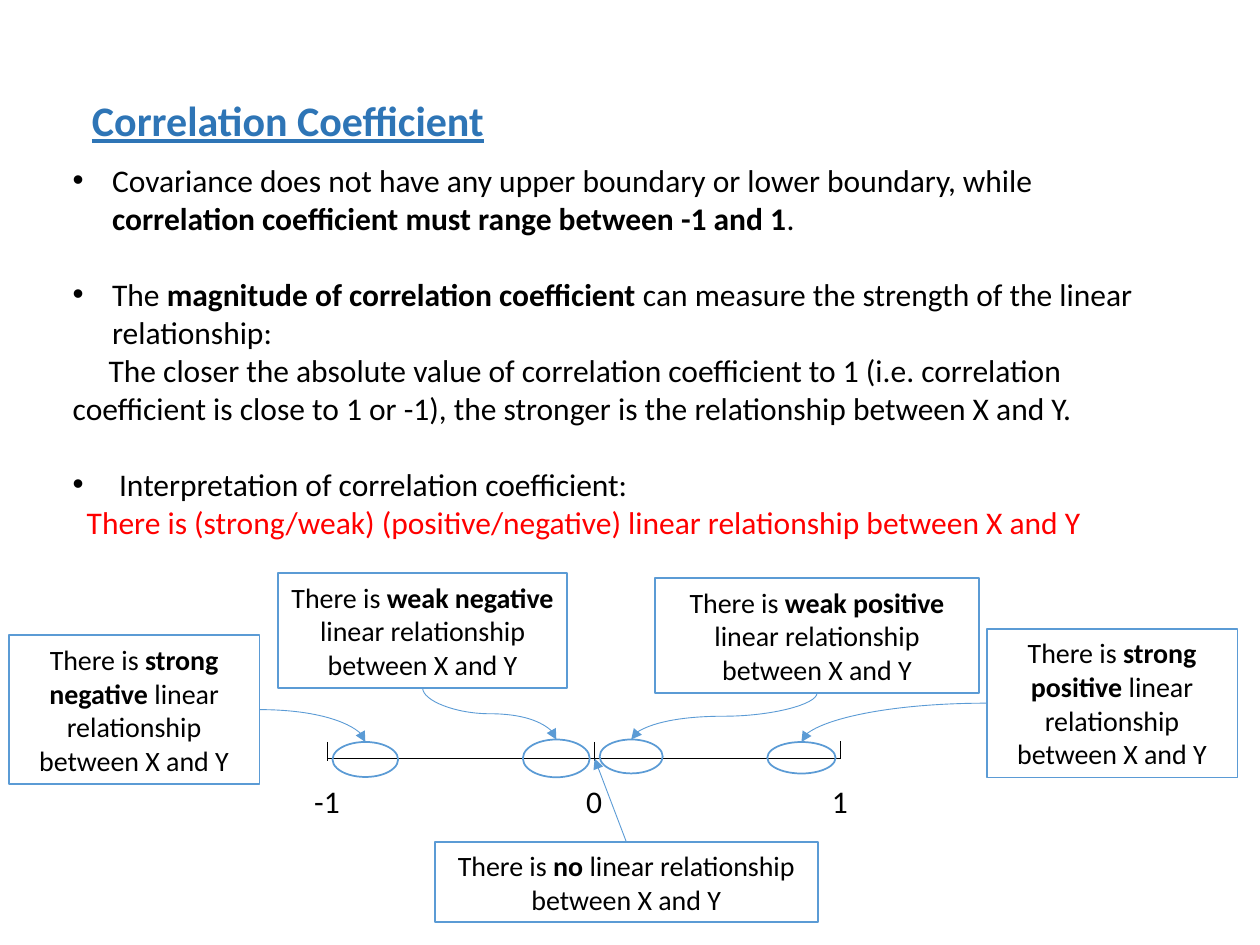
"""Build the slide on reading a correlation coefficient."""
from pptx import Presentation
from pptx.dml.color import RGBColor
from pptx.enum import shapes as kinds, text as txt
from pptx.oxml.ns import qn
from pptx.util import Pt

FONT, BLACK, BLUE, RED, WHITE = "Calibri", "000000", "5B9BD5", "FF0000", "FFFFFF"
TITLE, TITLE_COLOR = "Correlation Coefficient", "2E75B6"

# Each point: bullet, left margin, first-line indent, space before, colour, (words, bold) runs
POINTS = [
    ("•", 22.5, -22.5, 0, BLACK, [
        ("Covariance does not have any upper boundary or lower boundary, while ", False),
        ("correlation coefficient must range between -1 and 1", True), (".", False)]),
    ("•", 22.5, -22.5, 22, BLACK, [
        ("The ", False), ("magnitude of correlation coefficient", True),
        (" can measure the strength of the linear relationship:", False)]),
    (None, 0, 20.5, 0, BLACK, [
        ("The closer the absolute value of correlation coefficient to 1 (i.e. correlation "
         "coefficient is close to 1 or -1), the stronger is the relationship between X and Y.",
         False)]),
    ("•", 26.5, -26.5, 22, BLACK, [("Interpretation of correlation coefficient:", False)]),
    (None, 0, 8, 0, RED, [
        ("There is (strong/weak) (positive/negative) linear relationship between X and Y",
         False)]),
]

AXIS_Y = 433.5
TICKS = [("-1", 187.2, 424, 435, 29.5), ("0", 339.8, 424, 435, 23.8),
         ("1", 480.2, 423.5, 433.5, 23.8)]

# Each callout: strength, box, ellipse on the axis, side the arrow leaves from
CALLOUTS = [
    ("strong negative", (5, 363, 143.3, 85), (190, 424, 37.5, 20), "right"),
    ("strong positive", (563.8, 359.3, 143.3, 85), (438.5, 424, 39, 18), "left"),
    ("no", (248.4, 481, 219, 46), None, "top"),
    ("weak negative", (159, 327.6, 165, 65.5), (298.8, 422.6, 38.2, 21.6), "bottom"),
    ("weak positive", (374.4, 330.5, 185, 65.5), (342.7, 422.6, 36, 19.4), "bottom"),
]


def color(value):
    return RGBColor.from_string(value)


def pts(values):
    return [Pt(round(value, 2)) for value in values]


def add_runs(paragraph, runs, size, ink=BLACK):
    for words, bold in runs:
        run = paragraph.add_run()
        run.text = words
        run.font.name, run.font.size, run.font.bold = FONT, Pt(size), bold
        run.font.color.rgb = color(ink)


def text_frame(slide, box, wrap=True):
    frame = slide.shapes.add_textbox(*pts(box)).text_frame
    frame.word_wrap = wrap
    return frame


def indent(paragraph, bullet, margin, first):
    props = paragraph._p.get_or_add_pPr()
    props.set("marL", str(int(Pt(margin))))
    props.set("indent", str(int(Pt(first))))
    if bullet:
        font = props.makeelement(qn("a:buFont"), {"typeface": "Arial"})
        mark = props.makeelement(qn("a:buChar"), {"char": bullet})
        props.extend([font, mark])


def add_line(slide, start, end, ink=BLACK, kind=kinds.MSO_CONNECTOR.STRAIGHT, arrow=False):
    line = slide.shapes.add_connector(kind, *pts(start + end))
    line.line.color.rgb = color(ink)
    line.line.width = Pt(0.5)
    if arrow:
        stroke = line.line._get_or_add_ln()
        stroke.append(stroke.makeelement(qn("a:tailEnd"), {"type": "triangle"}))
    props = line._element.spPr
    props.append(props.makeelement(qn("a:effectLst"), {}))
    return line


def add_outline(slide, kind, box, fill=None):
    shape = slide.shapes.add_shape(kind, *pts(box))
    shape.shadow.inherit = False
    if fill:
        shape.fill.solid()
        shape.fill.fore_color.rgb = color(fill)
    else:
        shape.fill.background()
    shape.line.color.rgb = color(BLUE)
    shape.line.width = Pt(1)
    return shape


def side_curve(slide, start, end):
    curve = add_line(slide, start, end, BLUE, kinds.MSO_CONNECTOR.CURVE, True)
    curve._element.spPr.find(qn("a:prstGeom")).set("prst", "curvedConnector2")


def drop_curve(slide, start, end):
    (x1, y1), (x2, y2) = start, end
    mid_x, mid_y = (x1 + x2) / 2, (y1 + y2) / 2
    half_x, half_y = (x2 - x1) / 2, (y2 - y1) / 2
    curve = add_line(slide, (mid_x - half_y, mid_y + half_x),
                     (mid_x + half_y, mid_y - half_x), BLUE, kinds.MSO_CONNECTOR.CURVE, True)
    curve._element.spPr.find(qn("a:xfrm")).set("rot", str(90 * 60000))


def add_callout(slide, strength, box, ellipse, side):
    left, top, width, height = box
    callout = add_outline(slide, kinds.MSO_SHAPE.RECTANGLE, box, WHITE)
    callout.text_frame.word_wrap = True
    paragraph = callout.text_frame.paragraphs[0]
    paragraph.alignment = txt.PP_ALIGN.CENTER
    add_runs(paragraph, [("There is ", False), (strength, True),
                         (" linear relationship between X and Y", False)], 16)
    start = {"right": (left + width, top + height / 2), "left": (left, top + height / 2),
             "top": (left + width / 2, top), "bottom": (left + width / 2, top + height)}[side]
    if ellipse is None:
        arrow = add_line(slide, start, (TICKS[1][1], AXIS_Y), BLUE, arrow=True)
        arrow.begin_connect(callout, 0)
        return
    end = (ellipse[0] + ellipse[2] / 2, ellipse[1])
    draw_curve = drop_curve if side == "bottom" else side_curve
    draw_curve(slide, start, end)
    add_outline(slide, kinds.MSO_SHAPE.OVAL, ellipse)


def main():
    deck = Presentation()
    deck.slide_width, deck.slide_height = Pt(720), Pt(540)
    slide = deck.slides.add_slide(deck.slide_layouts[6])

    heading = text_frame(slide, (45.5, 54, 531.5, 36.5)).paragraphs[0]
    heading.line_spacing = 0.9
    add_runs(heading, [(TITLE, True)], 24, TITLE_COLOR)
    heading.runs[0].font.underline = True

    body = text_frame(slide, (34.5, 88.5, 643.7, 225.5))
    for i, (bullet, margin, first, before, ink, runs) in enumerate(POINTS):
        paragraph = body.add_paragraph() if i else body.paragraphs[0]
        paragraph.space_before = Pt(before)
        indent(paragraph, bullet, margin, first)
        add_runs(paragraph, runs, 18, ink)

    add_line(slide, (TICKS[0][1], AXIS_Y), (TICKS[-1][1], AXIS_Y))
    for label, x, top, bottom, width in TICKS:
        add_line(slide, (x, top), (x, bottom))
        frame = text_frame(slide, (x - width / 2, 443.5, width, 29), wrap=False)
        add_runs(frame.paragraphs[0], [(label, False)], 18)

    for callout in CALLOUTS:
        add_callout(slide, *callout)
    deck.save("out.pptx")


if __name__ == "__main__":
    main()
